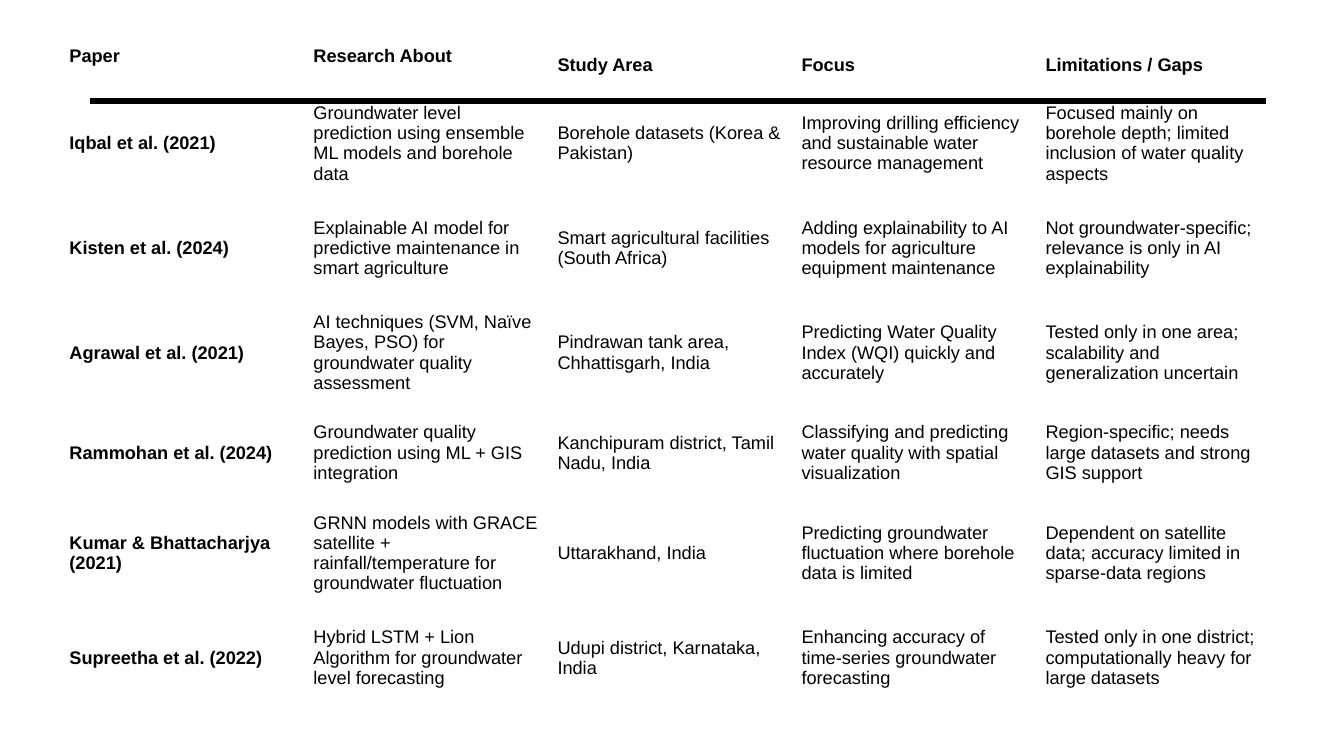
from typing import NamedTuple

import lxml.etree
import pptx
import pptx.dml.color
import pptx.enum.shapes
import pptx.enum.text
import pptx.oxml.ns
import pptx.util

Cm = pptx.util.Cm
Pt = pptx.util.Pt
qn = pptx.oxml.ns.qn

PLAIN = "{2D5ABB26-0587-4C30-8999-92F81FD0307C}"  # table style without grid
INK = "000000"
WIDE = 6.15


class Row(NamedTuple):
    high: float
    paper: str
    about: str
    area: str
    focus: str
    gaps: str


class Rule(NamedTuple):
    left: float
    right: float
    top: float
    size: float


ROWS = [
    Row(1.27, "Paper", "Research About", "Study Area", "Focus", "Limitations / Gaps"),
    Row(2.64, "Iqbal et al. (2021)",
        "Groundwater level prediction using ensemble ML models and borehole data",
        "Borehole datasets (Korea & Pakistan)",
        "Improving drilling efficiency and sustainable water resource management",
        "Focused mainly on borehole depth; limited inclusion of water quality aspects"),
    Row(2.64, "Kisten et al. (2024)",
        "Explainable AI model for predictive maintenance in smart agriculture",
        "Smart agricultural facilities (South Africa)",
        "Adding explainability to AI models for agriculture equipment maintenance",
        "Not groundwater-specific; relevance is only in AI explainability"),
    Row(2.64, "Agrawal et al. (2021)",
        "AI techniques (SVM, Naïve Bayes, PSO) for groundwater quality assessment",
        "Pindrawan tank area, Chhattisgarh, India",
        "Predicting Water Quality Index (WQI) quickly and accurately",
        "Tested only in one area; scalability and generalization uncertain"),
    Row(2.41, "Rammohan et al. (2024)",
        "Groundwater quality prediction using ML + GIS integration",
        "Kanchipuram district, Tamil Nadu, India",
        "Classifying and predicting water quality with spatial visualization",
        "Region-specific; needs large datasets and strong GIS support"),
    Row(2.64, "Kumar & Bhattacharjya (2021)",
        "GRNN models with GRACE satellite + rainfall/temperature for groundwater fluctuation",
        "Uttarakhand, India",
        "Predicting groundwater fluctuation where borehole data is limited",
        "Dependent on satellite data; accuracy limited in sparse-data regions"),
    Row(2.64, "Supreetha et al. (2022)",
        "Hybrid LSTM + Lion Algorithm for groundwater level forecasting",
        "Udupi district, Karnataka, India",
        "Enhancing accuracy of time-series groundwater forecasting",
        "Tested only in one district; computationally heavy for large datasets"),
]

CELL = {
    "vertical_anchor": pptx.enum.text.MSO_ANCHOR.MIDDLE,
    "margin_left": Cm(0.23),
    "margin_right": Cm(0.23),
    "margin_top": Cm(0.11),
    "margin_bottom": Cm(0.11),
}
FONT = {"name": "Arial", "size": Pt(13)}


def color(code: str) -> pptx.dml.color.RGBColor:
    return pptx.dml.color.RGBColor.from_string(code)


def style(item, look: dict) -> None:
    for name, value in look.items():
        setattr(item, name, value)


def draw_rule(slide, rule: Rule) -> None:
    line = slide.shapes.add_connector(
        pptx.enum.shapes.MSO_CONNECTOR.STRAIGHT,
        Cm(rule.left), Cm(rule.top), Cm(rule.right), Cm(rule.top))
    line.line.color.rgb = color(INK)
    line.line.width = Pt(rule.size)
    lxml.etree.SubElement(line._element.spPr, qn("a:effectLst"))


def fill_cell(cell, text: str, bold: bool, lift: bool) -> None:
    """Write one cell; lift raises its text by half a line."""
    cell.fill.background()
    style(cell, CELL)
    if lift:
        cell.margin_bottom = Cm(0.61)
    run = cell.text_frame.paragraphs[0].add_run()
    run.text = text
    style(run.font, FONT | {"bold": bold})
    run.font.color.rgb = color(INK)


def draw_table(slide, rows: list[Row], left: float, top: float) -> None:
    count = len(rows[0]) - 1
    table = slide.shapes.add_table(
        len(rows), count, Cm(left), Cm(top),
        Cm(WIDE * count), Cm(sum(row.high for row in rows))).table
    table._tbl.tblPr.find(qn("a:tableStyleId")).text = PLAIN
    style(table, {"first_row": False, "horz_banding": False})
    for col in table.columns:
        col.width = Cm(WIDE)
    for y, row in enumerate(rows):
        table.rows[y].height = Cm(row.high)
        for x, text in enumerate(row[1:]):
            fill_cell(table.cell(y, x), text, y == 0 or x == 0, y == 0 and x < 2)


def main() -> None:
    deck = pptx.Presentation()
    style(deck, {"slide_width": Cm(33.87), "slide_height": Cm(19.05)})
    slide = deck.slides.add_slide(deck.slide_layouts[6])
    draw_rule(slide, Rule(2.26, 31.9, 2.54, 4.5))
    draw_table(slide, ROWS, 1.52, 1.02)
    deck.save("out.pptx")


if __name__ == "__main__":
    main()
